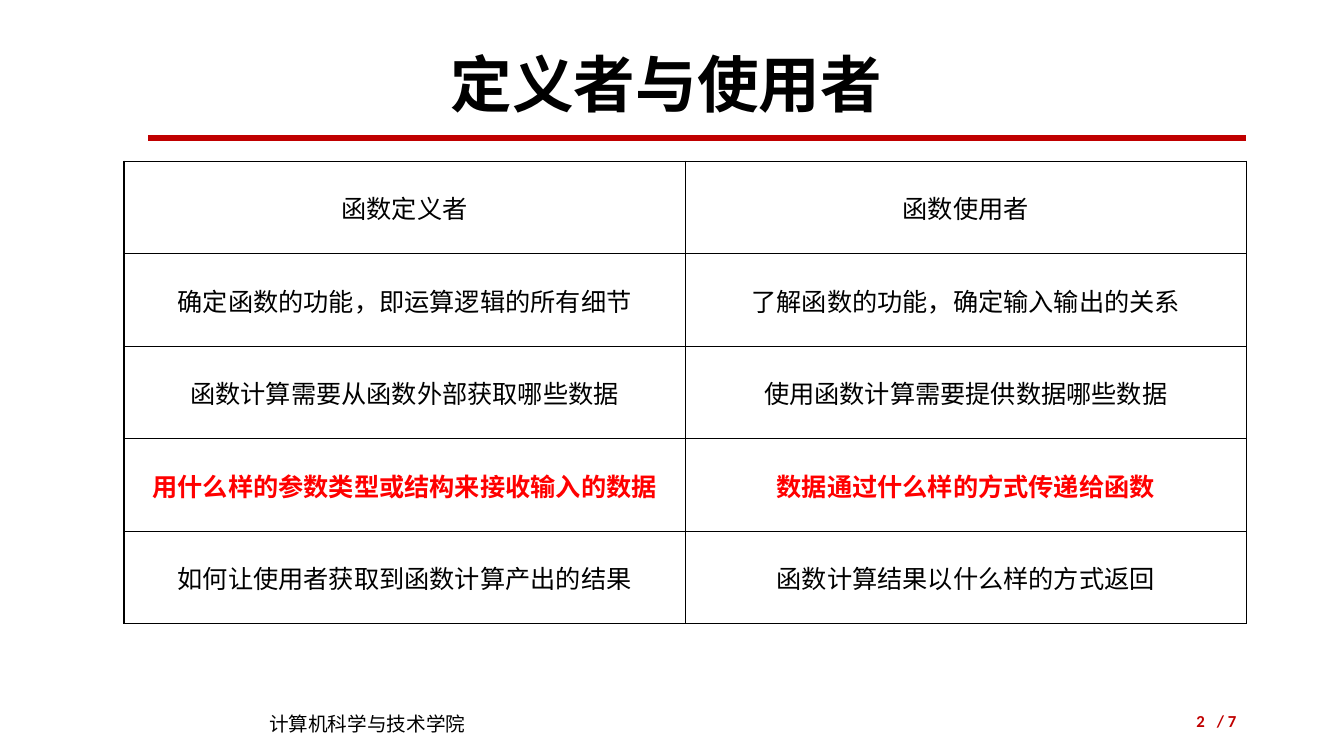
from lxml.etree import SubElement
from pptx import Presentation
from pptx.dml.color import RGBColor
from pptx.enum.shapes import MSO_CONNECTOR
from pptx.enum.text import MSO_ANCHOR as Anchor, PP_ALIGN as Align
from pptx.oxml.ns import qn
from pptx.util import Inches, Pt

BLACK = RGBColor(0x00, 0x00, 0x00)
DARK_RED = RGBColor(0xC0, 0x00, 0x00)
RED = RGBColor(0xFF, 0x00, 0x00)

ROLE_ROWS = [
    ("函数定义者", "函数使用者"),
    ("确定函数的功能，即运算逻辑的所有细节", "了解函数的功能，确定输入输出的关系"),
    ("函数计算需要从函数外部获取哪些数据", "使用函数计算需要提供数据哪些数据"),
    ("用什么样的参数类型或结构来接收输入的数据", "数据通过什么样的方式传递给函数"),
    ("如何让使用者获取到函数计算产出的结果", "函数计算结果以什么样的方式返回"),
]
HIGHLIGHTED_ROW = 3


class SlideBuilder:
    latin_font = "Calibri"
    chinese_font = "Noto Sans CJK SC"

    def __init__(self, slide):
        self.slide = slide

    def style(self, paragraph, size, color=BLACK, bold=False, align=Align.LEFT, name=None):
        paragraph.alignment = align
        font = paragraph.font
        font.name = name or self.latin_font
        font.size = Pt(size)
        font.bold = bold
        font.color.rgb = color
        properties = paragraph._p.pPr.find(qn("a:defRPr"))
        SubElement(properties, qn("a:ea"), typeface=self.chinese_font)

    def text(self, text, left, top, width, height, size, anchor=Anchor.MIDDLE,
             line_spacing=None, **style):
        box = self.slide.shapes.add_textbox(
            Inches(left), Inches(top), Inches(width), Inches(height))
        frame = box.text_frame
        frame.word_wrap = True
        frame.vertical_anchor = anchor
        paragraph = frame.paragraphs[0]
        paragraph.text = text
        if line_spacing:
            paragraph.line_spacing = line_spacing
        self.style(paragraph, size, **style)

    def rule(self, left, right, y, width, color):
        line = self.slide.shapes.add_connector(
            MSO_CONNECTOR.STRAIGHT, Inches(left), Inches(y), Inches(right), Inches(y))
        line.line.width = Pt(width)
        line.line.color.rgb = color
        SubElement(line._element.spPr, qn("a:effectLst"))

    def cell_borders(self, cell, width, color):
        properties = cell._tc.get_or_add_tcPr()
        for index, side in enumerate(("lnL", "lnR", "lnT", "lnB")):
            border = properties.makeelement(qn(f"a:{side}"), {"w": str(Pt(width))})
            fill = SubElement(border, qn("a:solidFill"))
            SubElement(fill, qn("a:srgbClr"), val=str(color))
            properties.insert(index, border)

    def table(self, rows, left, top, width, height, size, highlighted):
        table = self.slide.shapes.add_table(
            len(rows), len(rows[0]),
            Inches(left), Inches(top), Inches(width), Inches(height)).table
        table.first_row = False
        table.horz_banding = False
        for row_index, row in enumerate(rows):
            emphasis = row_index == highlighted
            for column_index, text in enumerate(row):
                cell = table.cell(row_index, column_index)
                cell.text = text
                cell.vertical_anchor = Anchor.MIDDLE
                cell.fill.background()
                self.cell_borders(cell, 1, BLACK)
                self.style(cell.text_frame.paragraphs[0], size, align=Align.CENTER,
                           color=RED if emphasis else BLACK, bold=emphasis)


def main():
    presentation = Presentation()
    presentation.slide_width = Inches(13.33)
    presentation.slide_height = Inches(7.5)
    builder = SlideBuilder(presentation.slides.add_slide(presentation.slide_layouts[6]))

    builder.text("计算机科学与技术学院", 2.57, 7.01, 2.92, 0.34, 14,
                 anchor=Anchor.TOP, name=builder.chinese_font)
    builder.rule(1.47, 12.36, 1.37, 4.5, DARK_RED)
    builder.text("定义者与使用者", 0.86, 0.4, 11.5, 0.94, 44,
                 bold=True, align=Align.CENTER, line_spacing=0.9)
    builder.table(ROLE_ROWS, 1.23, 1.6, 11.13, 4.59, 18, HIGHLIGHTED_ROW)

    page_style = dict(color=DARK_RED, bold=True, align=Align.RIGHT)
    builder.text("/ 7", 11.62, 6.95, 0.74, 0.4, 12, **page_style)
    builder.text("2", 9.42, 6.95, 2.63, 0.4, 12, **page_style)

    presentation.save("out.pptx")


if __name__ == "__main__":
    main()
